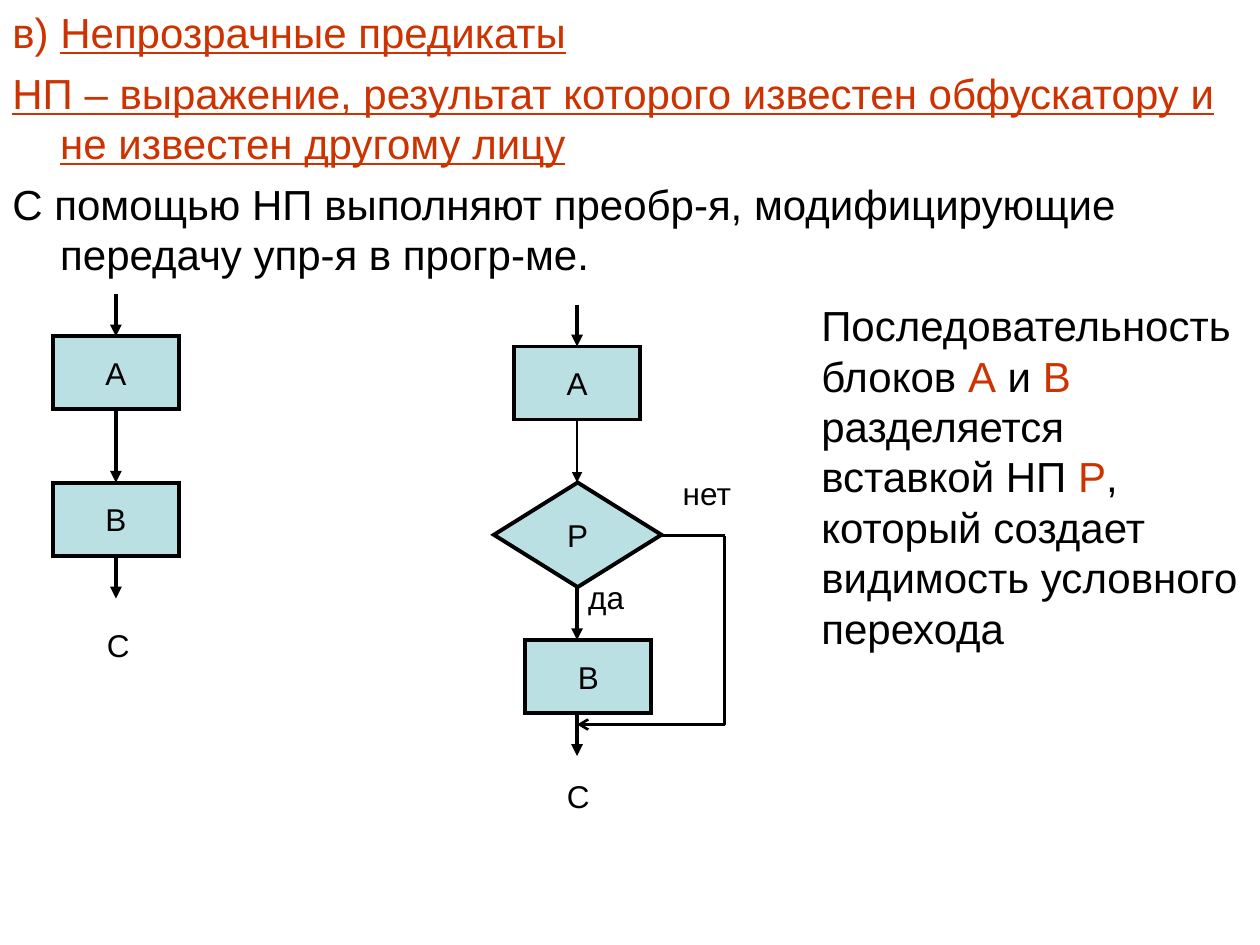
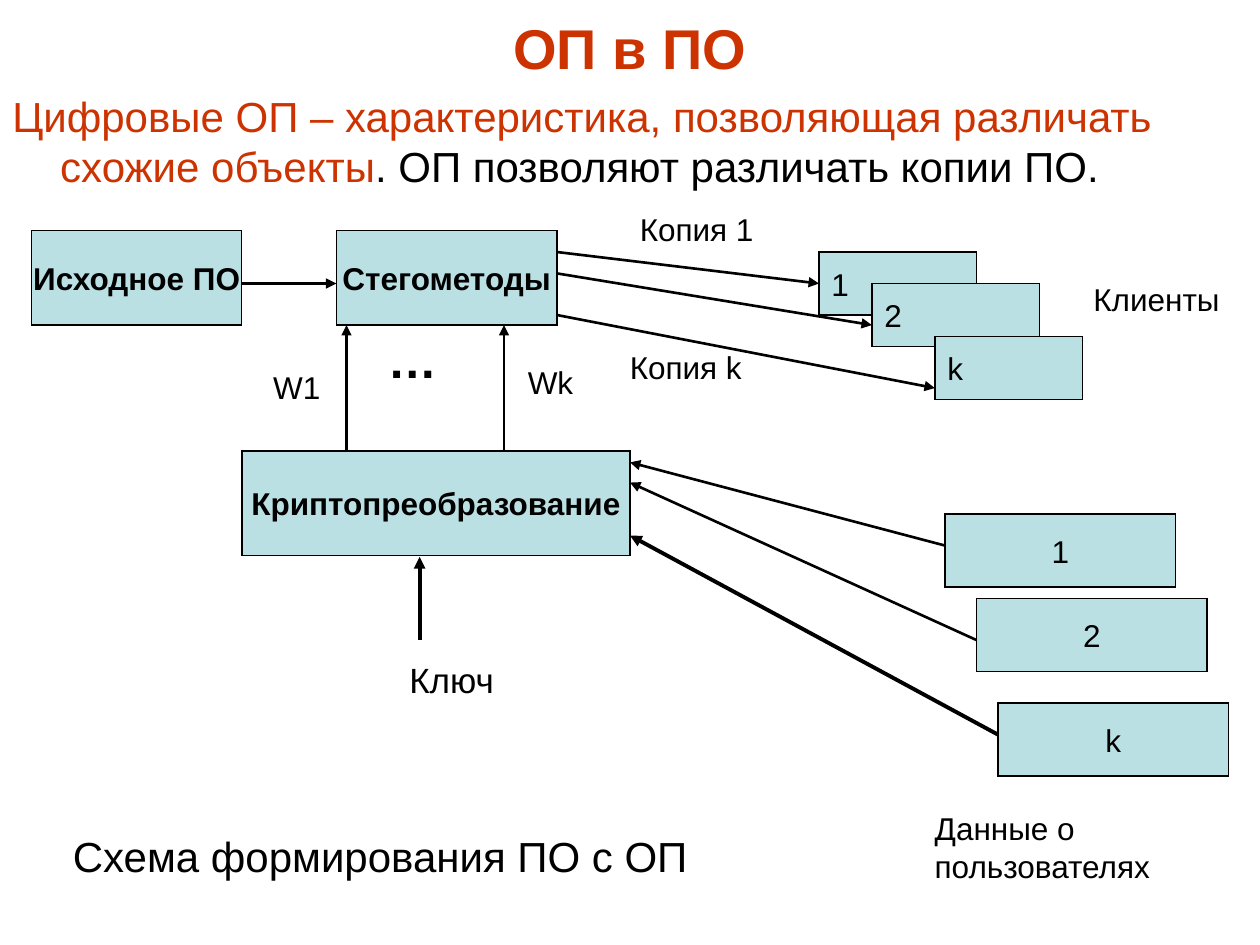
from pptx import Presentation
from pptx.util import Inches, Pt
from pptx.dml.color import RGBColor
from pptx.enum.shapes import MSO_CONNECTOR as Link, MSO_SHAPE as Form
from pptx.enum.text import MSO_ANCHOR as Anchor, PP_ALIGN as Align
from pptx.oxml.ns import qn
from lxml.etree import SubElement

HUES = {"ink": "000000", "red": "CC3300", "fill": "BBE0E3", "back": "FFFFFF"}
FONT = "Arial"


def hue(name):
    return RGBColor.from_string(HUES[name])


def style(font, size, color="ink", bold=False):
    font.name, font.size, font.bold = FONT, Pt(size), bold
    font.color.rgb = hue(color)


def write(para, parts, size):
    """Fill a paragraph with (text, colour, underlined) parts."""
    style(para.font, size)
    for text, color, under in parts:
        run = para.add_run()
        run.text = text
        run.font.color.rgb = hue(color)
        run.font.underline = under


class Area:
    """A region of a slide; places are inches from its top left corner."""

    def __init__(self, slide, left=0, top=0):
        self.slide, self.left, self.top = slide, left, top

    def spot(self, x, y):
        return Inches(self.left + x), Inches(self.top + y)

    def box(self, text, x, y, wide, high, form=Form.RECTANGLE, line=2.25,
            bold=False, align=Align.CENTER):
        shape = self.slide.shapes.add_shape(
            form, *self.spot(x, y), Inches(wide), Inches(high))
        shape.shadow.inherit = False
        shape.fill.solid()
        shape.fill.fore_color.rgb = hue("fill")
        shape.line.color.rgb = hue("ink")
        shape.line.width = Pt(line)
        SubElement(shape.line._get_or_add_ln(), qn("a:miter"), lim="800000")
        frame = shape.text_frame
        frame.word_wrap = False
        frame.vertical_anchor = Anchor.MIDDLE
        para = frame.paragraphs[0]
        para.text, para.alignment = text, align
        style(para.font, 18, bold=bold)

    def frame(self, x, y, wide, high, wrap=True):
        frame = self.slide.shapes.add_textbox(
            *self.spot(x, y), Inches(wide), Inches(high)).text_frame
        frame.word_wrap = wrap
        return frame

    def label(self, text, x, y, wide, high=0.4, size=18, bold=False):
        frame = self.frame(x, y, wide, high, wrap=False)
        for i, row in enumerate(text.split("\n")):
            para = frame.add_paragraph() if i else frame.paragraphs[0]
            para.text = row
            style(para.font, size, bold=bold)

    def line(self, start, end, width=1.5, head="triangle"):
        link = self.slide.shapes.add_connector(
            Link.STRAIGHT, *self.spot(*start), *self.spot(*end))
        link.line.color.rgb = hue("ink")
        link.line.width = Pt(width)
        if head:
            SubElement(link.line._get_or_add_ln(), qn("a:tailEnd"), type=head)
        SubElement(link._element.spPr, qn("a:effectLst"))

    def drop(self, x, top, end, width=2.25):
        self.line((x, top), (x, end), width)


def body(slide, top, high, paras):
    """Full-width text with hanging indents."""
    frame = Area(slide, 0, top).frame(0, 0, 10, high)
    for i, parts in enumerate(paras):
        para = frame.add_paragraph() if i else frame.paragraphs[0]
        write(para, parts, 24)
        para.space_before = Pt(6)
        props = para._p.get_or_add_pPr()
        props.set("marL", str(Inches(0.38)))
        props.set("indent", str(-Inches(0.38)))


def title(slide, text):
    frame = Area(slide).frame(0.5, 0, 9, 0.75)
    frame.vertical_anchor = Anchor.MIDDLE
    para = frame.paragraphs[0]
    para.text, para.alignment = text, Align.CENTER
    style(para.font, 32, "red", True)


def plain(slide, left, top):
    """Blocks in sequence, without a predicate."""
    area = Area(slide, left, top)
    for text, y in (("А", 0.34), ("В", 1.5)):
        area.box(text, 0, y, 1, 0.58)
    for start, end in ((0, 0.34), (0.92, 1.5), (2.09, 2.42)):
        area.drop(0.5, start, end)
    area.label("С", 0.33, 2.59, 0.45)


def forked(slide, left, top):
    """Blocks split by the predicate, with a bypass on the right."""
    area = Area(slide, left, top)
    mid, far = 0.66, 1.83
    area.box("А", 0.16, 0.33, 1, 0.58)
    area.box("Р", 0, 1.41, 1.33, 0.83, Form.DIAMOND)
    area.box("В", 0.25, 2.66, 1, 0.58)
    for start, end, width in ((0, 0.33, 2.25), (0.91, 1.41, 1.5),
                              (2.25, 2.66, 2.25), (3.25, 3.58, 2.25)):
        area.drop(mid, start, end, width)
    turns = [(1.33, 1.83), (far, 1.83), (far, 3.33), (mid, 3.33)]
    for start, end, head in zip(turns, turns[1:], (None, None, "arrow")):
        area.line(start, end, head=head)
    for text, x, y, wide in (("нет", 1.4, 1.29, 0.65), ("да", 0.65, 2.12, 0.55),
                             ("С", 0.48, 3.7, 0.45)):
        area.label(text, x, y, wide)


def remark(slide, left, top):
    frame = Area(slide, left, top).frame(0, 0, 3.58, 2.9)
    texts = ("Последовательность блоков ", "А", " и ", "В",
             " разделяется вставкой НП ", "Р",
             ", который создает видимость условного перехода")
    write(frame.paragraphs[0],
          [(text, "red" if i % 2 else "ink", False)
           for i, text in enumerate(texts)], 24)


def core(slide, left, top):
    """Main stages, the key and the marks W1 … Wk."""
    area = Area(slide, left, top)
    for text, x, y, wide, high in (
            ("Исходное ПО", 0, 0, 1.67, 0.75),
            ("Стегометоды", 2.42, 0, 1.75, 0.75),
            ("Криптопреобразование", 1.67, 1.75, 3.08, 0.83)):
        area.box(text, x, y, wide, high, line=0.75, bold=True)
    area.line((1.67, 0.42), (2.42, 0.42))
    for x in (2.5, 3.75):
        area.drop(x, 1.75, 0.75, 1.5)
    area.drop(3.08, 3.25, 2.59)
    area.label("W1", 1.82, 1.04, 0.65)
    area.label("…", 2.73, 0.74, 0.65, 0.57, 28, True)
    area.label("Wk", 3.84, 1, 0.65)
    area.label("Ключ", 2.9, 3.35, 0.95, 0.44, 20)


def clients(slide, left, top):
    """Copies sent to clients."""
    area = Area(slide, left, top)
    for text, x, y, wide, start, end in (
            ("1", 2.08, 0.38, 1.25, 0.38, 0.63),
            ("2", 2.5, 0.63, 1.33, 0.55, 0.96),
            ("k", 3, 1.05, 1.17, 0.88, 1.46)):
        area.box(text, x, y, wide, 0.5, line=0.75, align=Align.LEFT)
        area.line((0, start), (x, end))
    area.label("Копия 1", 0.56, 0, 1.2)
    area.label("Копия k", 0.48, 1.09, 1.2)
    area.label("Клиенты", 4.16, 0.55, 1.3)


def users(slide, left, top):
    """User data fed to the cipher stage."""
    area = Area(slide, left, top)
    for text, x, y, start, end, width in (
            ("1", 2.5, 0.5, 0.75, 0.09, 1.5),
            ("2", 2.75, 1.17, 1.5, 0.25, 1.5),
            ("k", 2.92, 2, 2.25, 0.67, 2.25)):
        area.box(text, x, y, 1.83, 0.58, line=0.75)
        area.line((x, start), (0, end), width)
    area.label("Данные о\nпользователях", 2.32, 2.79, 2, 0.7)


def opaque(slide):
    body(slide, 0, 7.5, [
        [("в) ", "red", False), ("Непрозрачные предикаты", "red", True)],
        [("НП – выражение, результат которого известен обфускатору "
          "и не известен другому лицу", "red", True)],
        [("С помощью НП выполняют преобр-я, модифицирующие "
          "передачу упр-я в прогр-ме.", "ink", False)]])
    plain(slide, 0.42, 2.33)
    forked(slide, 3.92, 2.42)
    remark(slide, 6.42, 2.33)


def prints(slide):
    title(slide, "ОП в ПО")
    body(slide, 0.67, 6.67, [
        [("Цифровые ОП – характеристика, позволяющая различать "
          "схожие объекты", "red", False),
         (". ОП позволяют различать копии ПО.", "ink", False)]])
    core(slide, 0.25, 1.83)
    clients(slide, 4.42, 1.62)
    users(slide, 5, 3.58)
    Area(slide).label("Схема формирования ПО с ОП", 0.48, 6.54, 5.2, 0.5, 24)


def main():
    deck = Presentation()
    deck.slide_width, deck.slide_height = Inches(10), Inches(7.5)
    for build in (opaque, prints):
        slide = deck.slides.add_slide(deck.slide_layouts[6])
        slide.background.fill.solid()
        slide.background.fill.fore_color.rgb = hue("back")
        build(slide)
    deck.save("out.pptx")


if __name__ == "__main__":
    main()
